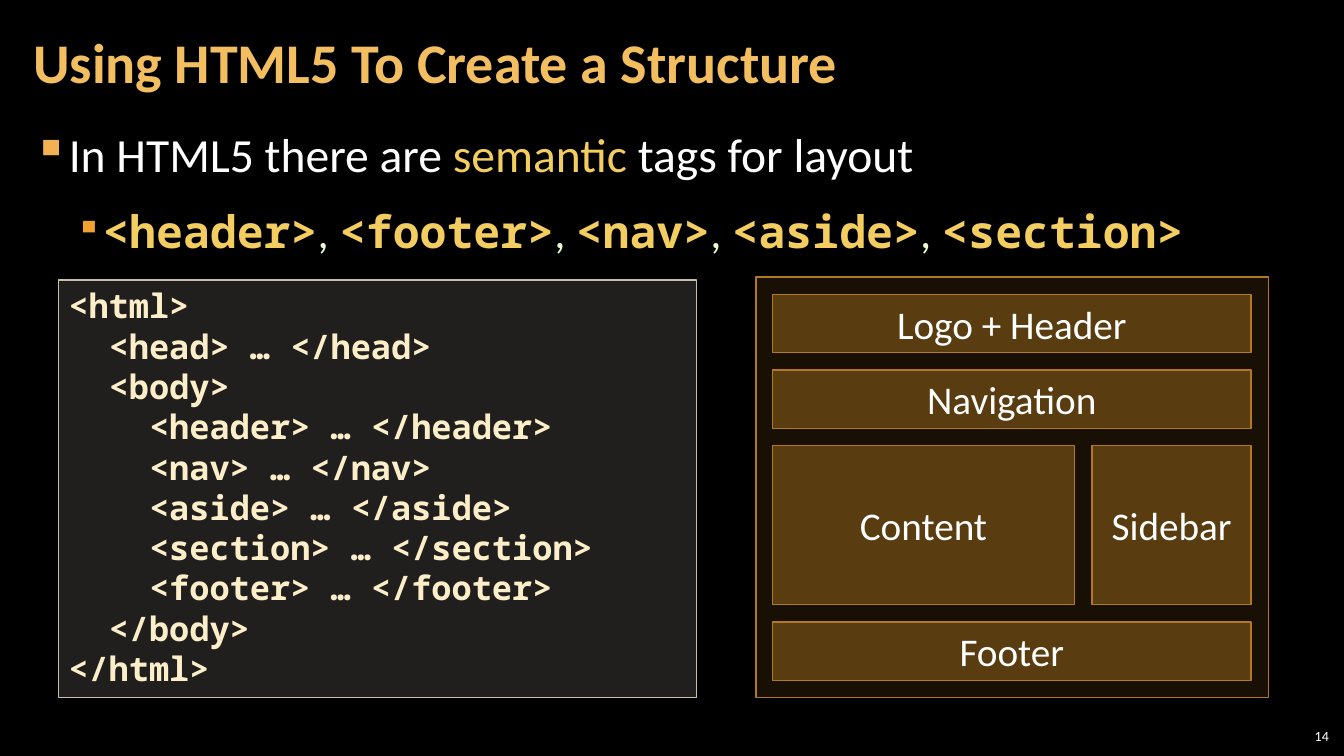
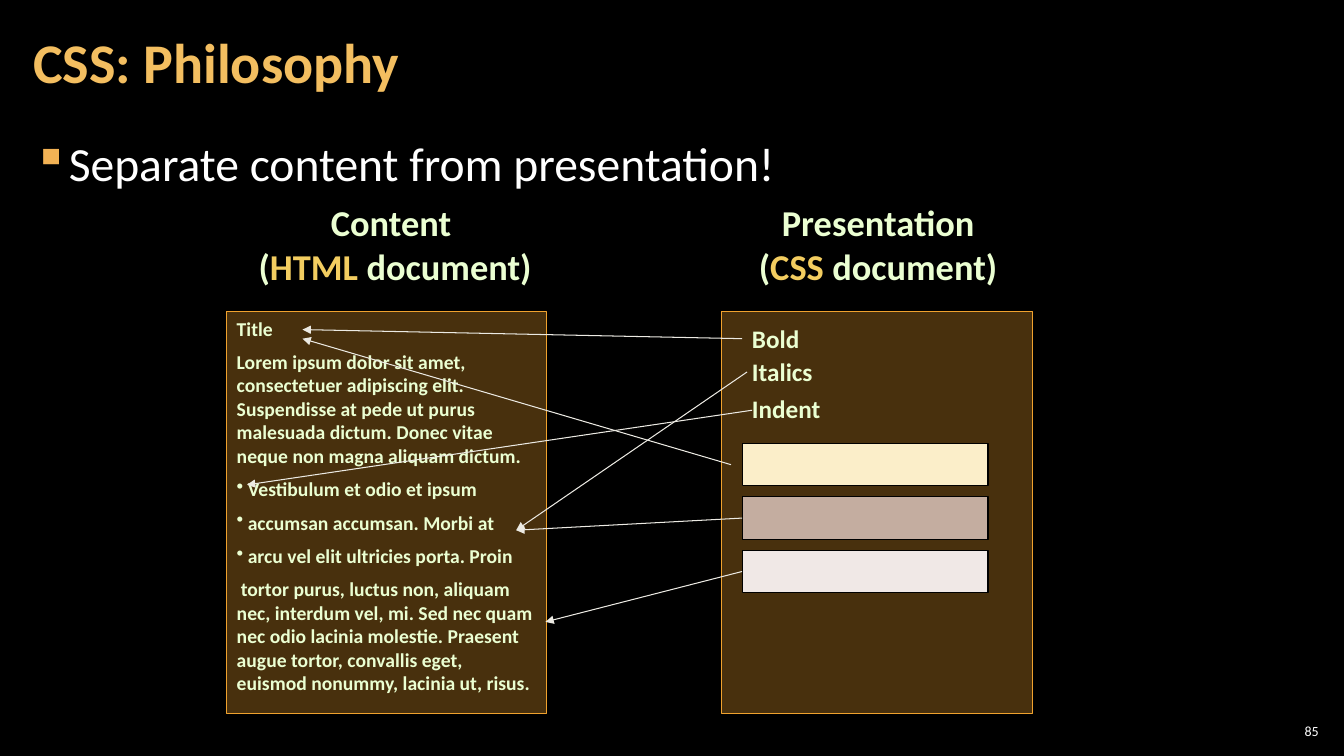
from dataclasses import dataclass
from typing import Optional

from lxml import etree
from pptx import Presentation
from pptx.dml.color import RGBColor
from pptx.enum.shapes import MSO_CONNECTOR as Line, MSO_SHAPE as Shape
from pptx.enum.text import MSO_ANCHOR as Anchor, PP_ALIGN as Align
from pptx.oxml.ns import qn
from pptx.util import Inches, Pt

SANS, MONO = "Calibri", "Noto Sans Mono"
BLACK, WHITE = "000000", "FFFFFF"
GOLD, BRONZE, HIGHLIGHT = "F0A22E", "B27822", "F3CD60"
TITLE, MINT, CREAM = "F3BE60", "EBFFD2", "FBEEC9"
LEFT = 1  # connection site in the middle of the left side


def rgb(value):
    return RGBColor.from_string(value)


def sub(parent, tag, **attrs):
    return etree.SubElement(parent, qn(tag), attrs)


@dataclass
class Run:
    text: str
    color: Optional[str] = None
    font: Optional[str] = None
    bold: Optional[bool] = None


@dataclass
class Bullet:
    char: str
    color: Optional[str] = None
    percent: int = 100


@dataclass
class Para:
    """A paragraph; its style holds for runs that set none of their own."""
    runs: list
    size: float
    color: str = WHITE
    font: str = SANS
    bold: bool = False
    align: Align = Align.LEFT
    bullet: Optional[Bullet] = None
    margin: float = 0
    indent: float = 0
    spacing: object = None
    before: float = 0
    after: float = 0


class Deck:
    def __init__(self):
        self.prs = Presentation()
        self.prs.slide_width = Inches(13.33)
        self.prs.slide_height = Inches(7.5)
        fill = self.prs.slide_master.background.fill
        fill.solid()
        fill.fore_color.rgb = rgb(BLACK)
        self.s = None

    def slide(self, title, number, right, middle):
        """Start a slide; right and middle place its number."""
        self.s = self.prs.slides.add_slide(self.prs.slide_layouts[6])
        self.text(0.21, 0.04, 10.47, 1.21,
                  [Para([Run(title)], 40, TITLE, bold=True, spacing=0.9)],
                  anchor=Anchor.MIDDLE, insets=(0.12, 0.04))
        self.text(right - 0.6, middle - 0.12, 0.6, 0.24,
                  [Para([Run(number)], 10, align=Align.RIGHT)],
                  anchor=Anchor.MIDDLE, insets=(0.04, 0.04))

    def body(self, top, paras):
        self.text(0.21, top, 12.91, 6.09, paras, insets=(0.12, 0.04))

    def set_text(self, tf, paras, anchor=Anchor.TOP, insets=(0.1, 0.05), wrap=True):
        tf.word_wrap = wrap
        tf.vertical_anchor = anchor
        tf.margin_left = tf.margin_right = Inches(insets[0])
        tf.margin_top = tf.margin_bottom = Inches(insets[1])
        for i, para in enumerate(paras):
            p = tf.add_paragraph() if i else tf.paragraphs[0]
            p.alignment = para.align
            if para.spacing:
                p.line_spacing = para.spacing
            p.space_before = Pt(para.before if i else 0)
            p.space_after = Pt(para.after)
            self.indent(p, para)
            for run in para.runs:
                r = p.add_run()
                r.text = run.text
                r.font.name = run.font or para.font
                r.font.size = Pt(para.size)
                r.font.bold = para.bold if run.bold is None else run.bold
                r.font.color.rgb = rgb(run.color or para.color)

    def indent(self, p, para):
        """Set the margin, the first-line indent and the bullet."""
        pPr = p._p.get_or_add_pPr()
        pPr.set("marL", str(Inches(para.margin)))
        pPr.set("indent", str(Inches(para.indent)))
        if para.bullet:
            if para.bullet.color:
                sub(sub(pPr, "a:buClr"), "a:srgbClr", val=para.bullet.color)
            sub(pPr, "a:buSzPct", val=str(para.bullet.percent * 1000))
            sub(pPr, "a:buChar", char=para.bullet.char)

    def text(self, x, y, w, h, paras, **frame):
        sp = self.s.shapes.add_textbox(Inches(x), Inches(y), Inches(w), Inches(h))
        self.set_text(sp.text_frame, paras, **frame)
        return sp

    def rect(self, x, y, w, h, fill, line, opacity=100, width=1, paras=(), **frame):
        sp = self.s.shapes.add_shape(
            Shape.RECTANGLE, Inches(x), Inches(y), Inches(w), Inches(h))
        sp.shadow.inherit = False
        sp.fill.solid()
        sp.fill.fore_color.rgb = rgb(fill)
        if opacity < 100:
            color = sp._element.spPr.find(qn("a:solidFill"))[0]
            sub(color, "a:alpha", val=str(opacity * 1000))
        sp.line.color.rgb = rgb(line)
        sp.line.width = Pt(width)
        self.set_text(sp.text_frame, paras, **frame)
        return sp

    def arrow(self, start, end):
        """Draw an arrow from a point, or from a shape's left side, to a point."""
        joined = not isinstance(start, tuple)
        x, y = (0, 0) if joined else start
        c = self.s.shapes.add_connector(
            Line.STRAIGHT, Inches(x), Inches(y), Inches(end[0]), Inches(end[1]))
        if joined:
            c.begin_connect(start, LEFT)
        c.line.color.rgb = rgb("ECEAE3")
        c.line.width = Pt(0.75)
        spPr = c._element.spPr
        sub(spPr.find(qn("a:ln")), "a:tailEnd", type="triangle")
        sub(spPr, "a:effectLst")


def point(runs):
    return Para(runs, 34, bullet=Bullet("▪", "F2B254"), margin=0.33,
                indent=-0.33, spacing=1.05, before=6, after=6)


def structure_slide(deck):
    deck.slide("Using HTML5 To Create a Structure", "14", 13.22, 7.3)
    tags = []
    for name in ("header", "footer", "nav", "aside", "section"):
        if tags:
            tags.append(Run(", "))
        tags.append(Run(f"<{name}>", HIGHLIGHT, MONO, True))
    deck.body(1.17, [
        point([Run("In HTML5 there are "), Run("semantic", HIGHLIGHT),
               Run(" tags for layout")]),
        Para(tags, 32, MINT, bullet=Bullet("▪", GOLD, 80), margin=0.67,
             indent=-0.25, spacing=Pt(42), before=6, after=6),
    ])

    gap, row, tall = 0.17, 0.58, 1.58
    x, y, w = 7.66, 2.92, 4.75
    main_width = w - gap - tall
    deck.rect(7.5, 2.75, 5.08, 4.17, GOLD, BRONZE, opacity=10)
    layout = [
        (row, [("Logo + Header", w)]),
        (row, [("Navigation", w)]),
        (tall, [("Content", main_width), ("Sidebar", tall)]),
        (row, [("Footer", w)]),
    ]
    for height, blocks in layout:
        left = x
        for label, width in blocks:
            deck.rect(left, y, width, height, GOLD, BRONZE, opacity=30,
                      paras=[Para([Run(label)], 28, align=Align.CENTER)],
                      anchor=Anchor.MIDDLE)
            left += width + gap
        y += height + gap

    code = [
        "<html>",
        "  <head> … </head>",
        "  <body>",
        "    <header> … </header>",
        "    <nav> … </nav>",
        "    <aside> … </aside>",
        "    <section> … </section>",
        "    <footer> … </footer>",
        "  </body>",
        "</html>",
    ]
    deck.rect(0.58, 2.78, 6.33, 4.14, "D9D5C7", "C7BFAC", opacity=15,
              paras=[Para([Run(text)], 24, CREAM, MONO, True, spacing=Pt(28.8))
                     for text in code])


def philosophy_slide(deck):
    deck.slide("CSS: Philosophy", "85", 13.12, 7.25)
    deck.body(1.26, [point([Run("Separate content from presentation!")])])

    def content(text, **style):
        return Para([Run(text)], 14, MINT, bold=True, before=7, **style)

    items = ("Vestibulum et odio et ipsum", "accumsan accumsan. Morbi at",
             "arcu vel elit ultricies porta. Proin")
    deck.rect(2.25, 3.09, 3.17, 3.99, GOLD, GOLD, opacity=30, width=0.75, paras=[
        content("Title"),
        content("Lorem ipsum dolor sit amet, consectetuer adipiscing elit. "
                "Suspendisse at pede ut purus malesuada dictum. Donec vitae "
                "neque non magna aliquam dictum."),
        *(content(item, bullet=Bullet("•"), margin=0.11, indent=-0.11)
          for item in items),
        content("tortor purus, luctus non, aliquam nec, interdum vel, mi. Sed nec "
                "quam nec odio lacinia molestie. Praesent augue tortor, convallis "
                "eget, euismod nonummy, lacinia ut, risus.", indent=0.04),
    ])
    deck.rect(7.16, 3.09, 3.08, 3.99, GOLD, GOLD, opacity=30, width=0.75)

    swatches = [deck.rect(7.36, 4.4 + 0.53 * i, 2.44, 0.42, color, BLACK, width=0.75)
                for i, color in enumerate((CREAM, "C4ADA0", "F0E8E6"))]
    rules = [deck.text(7.36, y, w, 0.4, [Para([Run(label)], 18, MINT, bold=True)],
                       wrap=False)
             for label, y, w in (("Bold", 3.16, 0.68), ("Italics", 3.49, 0.81),
                                 ("Indent", 3.85, 0.89))]
    for x, w, heading, language in ((2.45, 2.94, "Content ", "HTML"),
                                    (7.4, 2.62, "Presentation", "CSS")):
        lines = ([Run(heading)],
                 [Run("("), Run(language, HIGHLIGHT), Run(" document)")])
        deck.text(x, 1.94, w, 0.98, [
            Para(runs, 26, MINT, bold=True, align=Align.CENTER) for runs in lines
        ], wrap=False)

    accumsan = (5.12, 5.26)
    for start, end in (
        (rules[0], (3, 3.27)),
        ((7.41, 3.69), accumsan),
        ((7.46, 4.07), (2.45, 4.81)),
        (swatches[1], accumsan),
        (swatches[2], (5.41, 6.17)),
        ((7.25, 4.61), (3, 3.36)),
    ):
        deck.arrow(start, end)


def main():
    deck = Deck()
    structure_slide(deck)
    philosophy_slide(deck)
    deck.prs.save("out.pptx")


if __name__ == "__main__":
    main()
